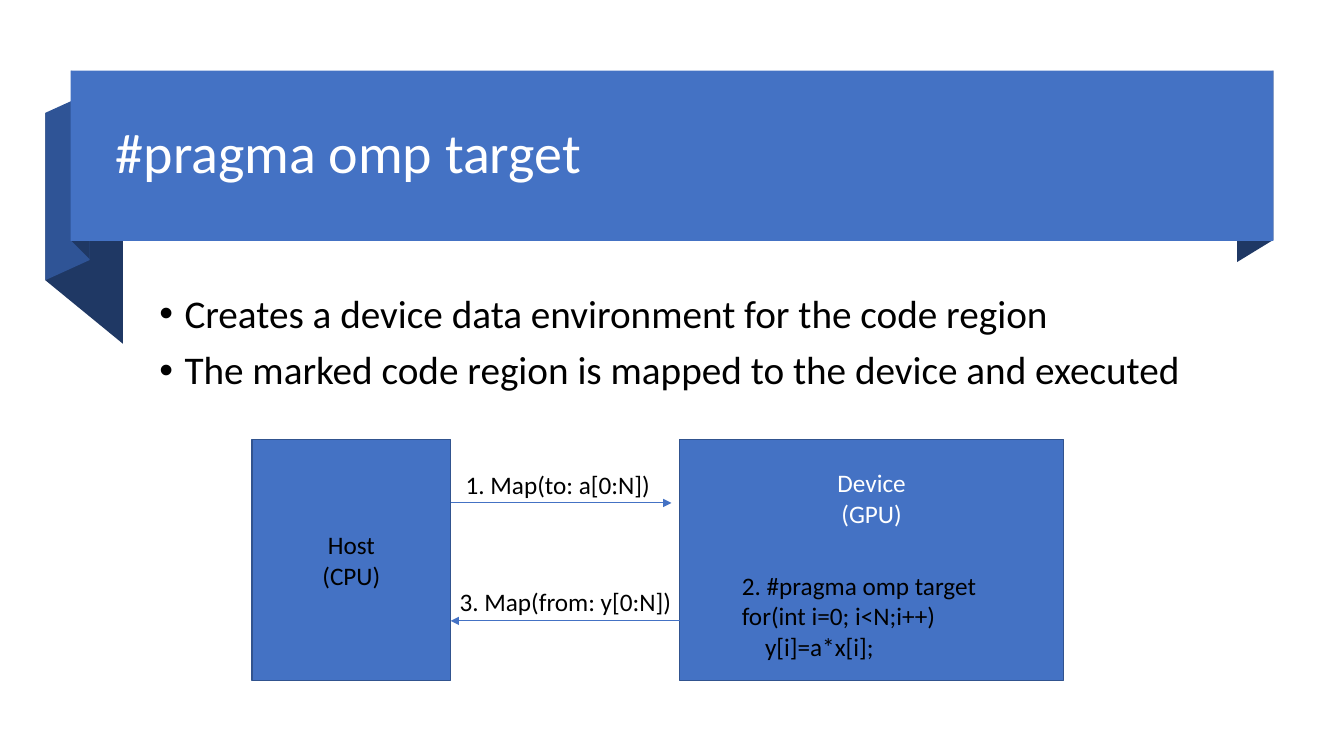
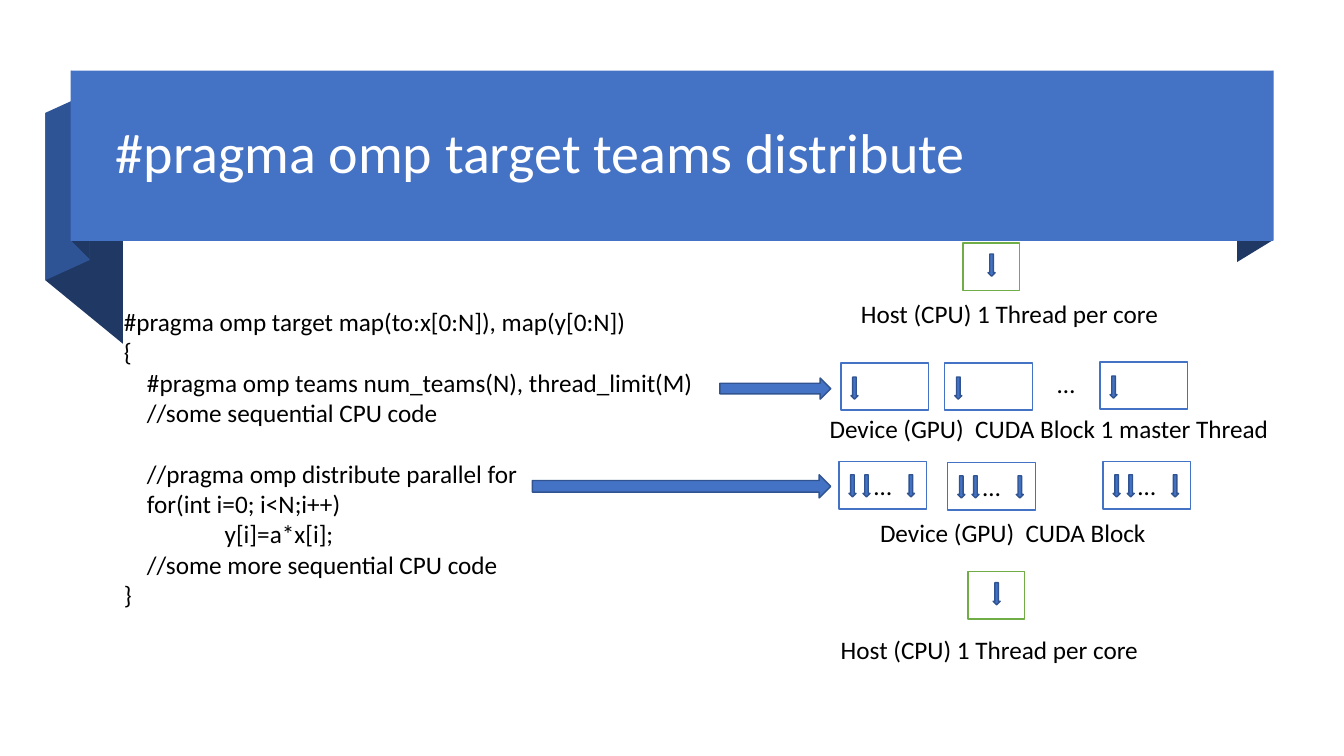
from lxml.etree import SubElement
from pptx import Presentation
from pptx.dml.color import RGBColor
from pptx.enum.shapes import MSO_CONNECTOR, MSO_SHAPE
from pptx.enum.text import MSO_ANCHOR, MSO_AUTO_SIZE, PP_ALIGN
from pptx.oxml.ns import qn
from pptx.util import Pt

PX = 9144  # EMU in one px; 100 px make an inch
FONT = "Calibri"
BLUE, MID, NAVY, EDGE = "4472C4", "2F5496", "1F3864", "31538F"
GREEN, BLACK, WHITE = "70AD47", "000000", "FFFFFF"
RECT, DOWN, RIGHT = MSO_SHAPE.RECTANGLE, MSO_SHAPE.DOWN_ARROW, MSO_SHAPE.RIGHT_ARROW
TOP, MIDDLE = MSO_ANCHOR.TOP, MSO_ANCHOR.MIDDLE
LEFT, CENTER = PP_ALIGN.LEFT, PP_ALIGN.CENTER
STRAIGHT = MSO_CONNECTOR.STRAIGHT
NO_FIT = MSO_AUTO_SIZE.NONE
LIST, BARE = 1, 5  # layouts: title and content, title only

FOLDS = [
    (NAVY, [(122, 341), (45, 278), (45, 112), (122, 175)]),
    (MID, [(89, 258), (45, 278), (45, 112), (89, 92)]),
    (NAVY, [(89, 257), (71, 239), (71, 70), (89, 89)]),
    (NAVY, [(1263, 238), (1227, 260), (1227, 91), (1263, 70)]),
]

# text, indent in px, points before
CODE = [
    ("#pragma omp target map(to:x[0:N]), map(y[0:N])", 0, 0),
    ("{", 0, 0),
    ("#pragma omp teams num_teams(N), thread_limit(M)", 23, 0),
    ("//some sequential CPU code", 23, 0),
    ("//pragma omp distribute parallel for", 23, 22),
    ("for(int i=0; i<N;i++)", 23, 0),
    ("y[i]=a*x[i];", 100, 0),
    ("//some more sequential CPU code", 23, 0),
    ("}", 0, 0),
]


def rgb(code):
    return RGBColor.from_string(code)


def px(*sizes):
    return [size * PX for size in sizes]


def indent(para, left, first=0):
    props = para._p.get_or_add_pPr()
    props.set("marL", str(left * PX))
    props.set("indent", str(first * PX))


class Deck:
    """Holds the shared style and the slide being filled."""

    def __init__(self):
        self.show = Presentation()
        self.show.slide_width, self.show.slide_height = px(1333, 750)

    def page(self, title, layout):
        """Start a slide with the ribbon and its title."""
        self.slide = self.show.slides.add_slide(self.show.slide_layouts[layout])
        self.shapes = self.slide.shapes
        for color, points in FOLDS:
            self.fold(color, points)
        self.shape(RECT, (70, 70, 1193, 169), BLUE)
        head = self.shapes.title
        head.element.getparent().append(head.element)
        self.place(head, (105, 88, 1123, 133))
        self.fill(head.text_frame, [title], 40, WHITE, LEFT, MIDDLE, 0.9)

    def place(self, holder, box):
        holder.left, holder.top, holder.width, holder.height = px(*box)
        holder.text_frame.auto_size = NO_FIT

    def fill(self, frame, lines, size=18, color=BLACK, align=LEFT, anchor=TOP, space=1.0):
        """Set the lines of a text frame, one paragraph each."""
        frame.word_wrap = True
        frame.vertical_anchor = anchor
        for i, line in enumerate(lines):
            para = frame.add_paragraph() if i else frame.paragraphs[0]
            para.text = line
            para.alignment = align
            para.line_spacing = space
            para.space_before = Pt(0)
            font = para.font
            font.name, font.size = FONT, Pt(size)
            font.color.rgb = rgb(color)

    def bullets(self, box, lines):
        body = self.slide.placeholders[1]
        self.place(body, box)
        self.fill(body.text_frame, lines, 28, space=0.9)
        for i, para in enumerate(body.text_frame.paragraphs):
            indent(para, 25, -25)
            para.space_before = Pt(10 if i else 0)

    def label(self, box, *lines):
        frame = self.shapes.add_textbox(*px(*box)).text_frame
        self.fill(frame, lines)
        return frame

    def code(self, box, rows):
        frame = self.label(box, *[text for text, _, _ in rows])
        for para, (_, left, before) in zip(frame.paragraphs, rows):
            indent(para, left)
            para.space_before = Pt(before)

    def paint(self, shape, fill, line=None):
        shape.shadow.inherit = False
        shape.fill.solid()
        shape.fill.fore_color.rgb = rgb(fill)
        if line:
            shape.line.color.rgb = rgb(line)
            shape.line.width = Pt(1)
        else:
            shape.line.fill.background()

    def shape(self, kind, box, fill, line=None):
        shape = self.shapes.add_shape(kind, *px(*box))
        self.paint(shape, fill, line)
        return shape

    def fold(self, color, points):
        form = self.shapes.build_freeform(*points[0], scale=PX)
        form.add_line_segments(points[1:], close=True)
        self.paint(form.convert_to_shape(), color)

    def panel(self, box, lines, color, anchor=MIDDLE, inset=5):
        frame = self.shape(RECT, box, BLUE, EDGE).text_frame
        self.fill(frame, lines, color=color, align=CENTER, anchor=anchor)
        frame.margin_top = inset * PX

    def arrow(self, kind, *box):
        self.shape(kind, box, BLUE, EDGE)

    def block(self, x, y, wide, line, gaps, drop, text=None):
        """Draw an outlined box with a thread arrow at each gap."""
        shape = self.shape(RECT, (x, y, wide, 47), WHITE, line)
        if text:
            self.fill(shape.text_frame, [text], align=CENTER, anchor=MIDDLE)
        for gap in gaps:
            self.arrow(DOWN, x + gap, y + drop, 7, 22)

    def link(self, start, end, y):
        line = self.shapes.add_connector(STRAIGHT, *px(start, y, end, y))
        line.line.color.rgb = rgb(BLUE)
        line.line.width = Pt(0.75)
        props = line.element.spPr
        SubElement(props.find(qn("a:ln")), qn("a:tailEnd"), type="triangle")
        SubElement(props, qn("a:effectLst"))


def target(deck):
    deck.page("#pragma omp target", LIST)
    deck.bullets((148, 287, 1062, 120), [
        "Creates a device data environment for the code region",
        "The marked code region is mapped to the device and executed",
    ])
    deck.panel((250, 436, 197, 239), ["Host", "(CPU)"], BLACK)
    deck.panel((674, 436, 381, 239), ["Device", "(GPU)"], WHITE, TOP, 28)
    deck.link(447, 666, 499)
    deck.link(674, 447, 616)
    deck.label((452, 461, 205, 40), "1. Map(to: a[0:N])")
    deck.label((446, 577, 232, 40), "3. Map(from: y[0:N])")
    deck.code((726, 561, 327, 101), [
        ("2. #pragma omp target", 0, 0),
        ("for(int i=0; i<N;i++)", 0, 0),
        ("y[i]=a*x[i];", 23, 0),
    ])


def teams(deck):
    deck.page("#pragma omp target teams distribute", BARE)
    deck.code((113, 299, 767, 313), CODE)
    for x, y, left, top in [(955, 241, 844, 291), (960, 567, 824, 624)]:
        deck.block(x, y, 56, GREEN, [25], 11)
        deck.label((left, top, 319, 40), "Host (CPU) 1 Thread per core")
    for x, y in [(834, 360), (937, 360), (1091, 359)]:
        deck.block(x, y, 87, BLUE, [10], 14)
    deck.label((1039, 360, 40, 40), "…")
    deck.label((813, 405, 466, 40), "Device (GPU)  CUDA Block 1 master Thread")
    for x, y in [(832, 458), (940, 459), (1094, 458)]:
        deck.block(x, y, 87, BLUE, [10, 24, 68], 13, "…")
    deck.label((863, 508, 287, 40), "Device (GPU)  CUDA Block")
    deck.arrow(RIGHT, 714, 375, 110, 21)
    deck.arrow(RIGHT, 528, 471, 296, 23)


def main():
    deck = Deck()
    target(deck)
    teams(deck)
    deck.show.save("out.pptx")


if __name__ == "__main__":
    main()
